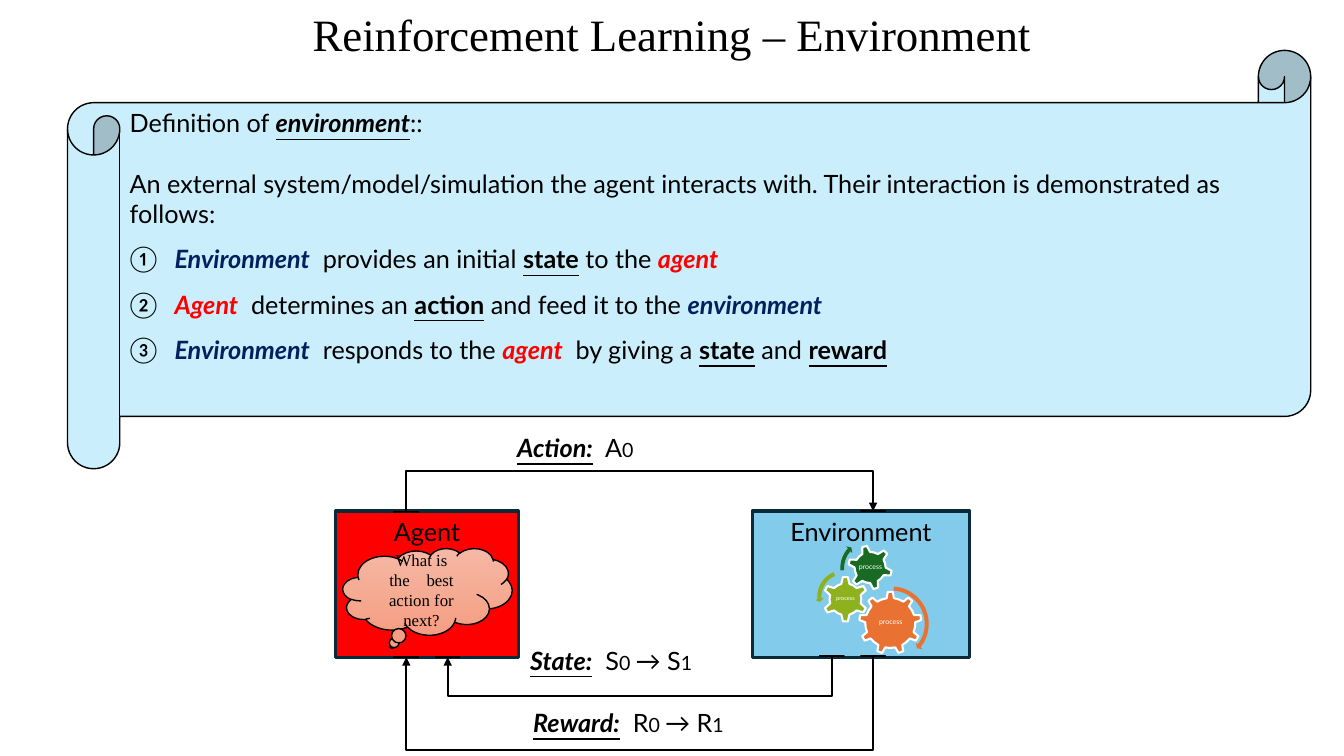
"""Build a slide on the environment in reinforcement learning."""
from lxml import etree
from pptx import Presentation
from pptx.dml.color import RGBColor
from pptx.enum import shapes, text
from pptx.oxml import ns
from pptx.util import Inches, Pt

BLACK = RGBColor(0, 0, 0)
WHITE = RGBColor(255, 255, 255)
RED = RGBColor(255, 0, 0)
NAVY = RGBColor(0x00, 0x20, 0x60)
EDGE = RGBColor(0x09, 0x2A, 0x39)
PALE_BLUE = RGBColor(0xCA, 0xEE, 0xFB)
SKY = RGBColor(0x83, 0xCB, 0xEB)
ORANGE = RGBColor(0xE9, 0x71, 0x32)
LIME = RGBColor(0x8E, 0xB2, 0x1E)
GREEN = RGBColor(0x19, 0x6B, 0x24)
PEACH = RGBColor(0xF5, 0xB8, 0xA5)
SALMON = RGBColor(0xF5, 0x9E, 0x82)

SHAPE = shapes.MSO_SHAPE
CENTER = text.PP_ALIGN.CENTER
MIDDLE = text.MSO_ANCHOR.MIDDLE

prs = Presentation()
prs.slide_width, prs.slide_height = Inches(13.33), Inches(7.5)
s = prs.slides.add_slide(prs.slide_layouts[6])


def add_box(kind, at, fill=None, line=None, width=1):
    """Add a preset shape, or a text box when kind is None."""
    at = [Inches(v) for v in at]
    if kind is None:
        sp = s.shapes.add_textbox(*at)
    else:
        sp = s.shapes.add_shape(kind, *at)
        sp.shadow.inherit = False
        sp.fill.solid()
        sp.fill.fore_color.rgb = fill
        if line is None:
            sp.line.fill.background()
        else:
            sp.line.color.rgb = line
            sp.line.width = Pt(width)
        sp.text_frame.vertical_anchor = text.MSO_ANCHOR.TOP
    sp.text_frame.word_wrap = True
    return sp


def write(p, runs, size=18, font="Lato", align=text.PP_ALIGN.LEFT):
    """Add runs of (text, style letters, colour, size) to a paragraph."""
    p.alignment = align
    for words, style, color, *own_size in runs:
        r = p.add_run()
        r.text = words
        r.font.name = font
        r.font.size = Pt(own_size[0] if own_size else size)
        r.font.color.rgb = color
        r.font.bold = "b" in style
        r.font.italic = "i" in style
        r.font.underline = "u" in style


title = add_box(None, (0, 0, 13.33, 0.73))
title.text_frame.vertical_anchor = MIDDLE
p = title.text_frame.paragraphs[0]
p.line_spacing = 0.9
write(p, [("Reinforcement Learning – Environment", "", BLACK)], 32, "Times New Roman", CENTER)

scroll = add_box(SHAPE.HORIZONTAL_SCROLL, (0.67, 0.5, 12.33, 4.15), PALE_BLUE, BLACK)
tf = scroll.text_frame
write(tf.paragraphs[0], [("Definition of ", "", BLACK), ("environment", "biu", BLACK), ("::", "", BLACK)])
p = tf.add_paragraph()
p.space_before = Pt(21.6)
write(p, [("An external system/model/simulation the agent interacts with. "
           "Their interaction is demonstrated as follows:", "", BLACK)])

steps = [
    [("Environment", "bi", NAVY), ("  provides an initial ", "", BLACK), ("state", "bu", BLACK),
     (" to the ", "", BLACK), ("agent", "bi", RED)],
    [("Agent", "bi", RED), ("  determines an ", "", BLACK), ("action", "bu", BLACK),
     (" and feed it to the ", "", BLACK), ("environment", "bi", NAVY)],
    [("Environment", "bi", NAVY), ("  responds to the ", "", BLACK), ("agent", "bi", RED),
     ("  by giving a ", "", BLACK), ("state", "bu", BLACK), (" and ", "", BLACK),
     ("reward", "bu", BLACK)],
]
for runs in steps:
    p = tf.add_paragraph()
    p.line_spacing = 1.5
    write(p, [(" ", "", BLACK)] + runs)
    pPr = p._p.get_or_add_pPr()
    pPr.set("marL", str(Inches(0.38)))
    pPr.set("indent", str(-Inches(0.38)))
    etree.SubElement(pPr, ns.qn("a:buFont")).set("typeface", "+mj-lt")
    etree.SubElement(pPr, ns.qn("a:buAutoNum")).set("type", "circleNumWdWhitePlain")

for name, left, width, fill in (("Agent", 3.33, 1.81, RED), ("Environment", 7.46, 2.16, SKY)):
    sp = add_box(SHAPE.RECTANGLE, (left, 5.07, width, 1.45), fill, EDGE, 2.25)
    write(sp.text_frame.paragraphs[0], [(name, "", BLACK)], align=CENTER)

flows = [
    ((8.25, 6.51), (4.44, 6.52), 2, 0.4),
    ((8.66, 6.51), (4.03, 6.52), 2, 0.95),
    ((4.03, 5.08), (8.66, 5.07), 0, 0.41),
]
STEP = 0.01
for start, end, side, reach in flows:
    bars = [add_box(SHAPE.RECTANGLE, (x - 0.12, y, 0.24, 0), BLACK, BLACK) for x, y in (start, end)]
    c = s.shapes.add_connector(shapes.MSO_CONNECTOR.ELBOW, *[Inches(v) for v in start + end])
    c.begin_connect(bars[0], side)
    c.end_connect(bars[1], side)
    span = abs(end[0] - start[0])
    c.left = Inches((start[0] + end[0] - STEP) / 2)
    c.top = Inches((start[1] + end[1] - span) / 2)
    c.width, c.height = Inches(STEP), Inches(span)
    spPr = c._element.spPr
    xfrm = spPr.find(ns.qn("a:xfrm"))
    xfrm.set("rot", "5400000")
    for flip in ("flipH", "flipV"):
        xfrm.set(flip, "1" if side == 0 else "0")
    guide = etree.SubElement(spPr.find(ns.qn("a:prstGeom")).find(ns.qn("a:avLst")), ns.qn("a:gd"))
    guide.set("name", "adj1")
    guide.set("fmla", f"val {round(reach / STEP * 100000)}")
    c.line.color.rgb = BLACK
    c.line.width = Pt(1.5)
    etree.SubElement(c.line._get_or_add_ln(), ns.qn("a:tailEnd")).set("type", "triangle")
    etree.SubElement(spPr, ns.qn("a:effectLst"))

labels = [
    ((5.03, 4.24, 1.42, 0.4), "Action:", "A", False),
    ((5.16, 6.35, 1.92, 0.4), "State:", "S", True),
    ((5.19, 6.97, 2.23, 0.4), "Reward:", "R", True),
]
for at, name, symbol, changes in labels:
    tf = add_box(None, at).text_frame
    tf.word_wrap = False
    tf.auto_size = text.MSO_AUTO_SIZE.SHAPE_TO_FIT_TEXT
    runs = [(name, "biu", BLACK), ("  " + symbol, "", BLACK)]
    if changes:
        runs += [("0 ", "", BLACK, 14), ("→ " + symbol, "", BLACK), ("1", "", BLACK, 14)]
    else:
        runs.append(("0", "", BLACK, 14))
    write(tf.paragraphs[0], runs)

gears = [
    (SHAPE.GEAR_9, (8.52, 5.87, 0.62, 0.62), 0, ORANGE, (8.65, 6.01, 0.37, 0.32), 5),
    (SHAPE.GEAR_6, (8.16, 5.72, 0.45, 0.45), 0, LIME, (8.24, 5.83, 0.29, 0.22), 4),
    (SHAPE.GEAR_6, (8.41, 5.41, 0.44, 0.44), 345, GREEN, (8.47, 5.5, 0.33, 0.25), 5),
]
for kind, at, turn, fill, label_at, size in gears:
    add_box(kind, at, fill, WHITE, 1.5).rotation = turn
    tf = add_box(None, label_at).text_frame
    tf.vertical_anchor = MIDDLE
    tf.margin_left = tf.margin_right = tf.margin_top = tf.margin_bottom = Inches(0.01)
    p = tf.paragraphs[0]
    p.line_spacing = 0.9
    write(p, [("process", "", WHITE)], size, align=CENTER)

turns = [
    (SHAPE.CIRCULAR_ARROW, (8.44, 5.79, 0.8, 0.8), ORANGE, (0.05, 2.99, 23.03, 164.39, 0.06)),
    (SHAPE.LEFT_CIRCULAR_ARROW, (8.08, 5.63, 0.58, 0.58), LIME, (0.07, 4.3, 104.89, 148.38, 0.08)),
    (SHAPE.CIRCULAR_ARROW, (8.31, 5.32, 0.63, 0.63), GREEN, (0.06, 3.94, 133.14, 105.08, 0.07)),
]
for kind, at, fill, values in turns:
    sp = add_box(kind, at, fill)
    for i, value in enumerate(values):
        sp.adjustments[i] = value

cloud = add_box(SHAPE.CLOUD_CALLOUT, (3.4, 5.44, 1.68, 0.86), PEACH, BLACK)
cloud.fill.gradient()
cloud.fill.gradient_angle = 270
for stop, color, place in zip(cloud.fill.gradient_stops, (PEACH, SALMON), (0, 1)):
    stop.color.rgb = color
    stop.position = place
cloud.text_frame.vertical_anchor = MIDDLE
write(cloud.text_frame.paragraphs[0], [("What is the　best action for next?", "", BLACK)],
      12, "Times New Roman", CENTER)

prs.save("out.pptx")
